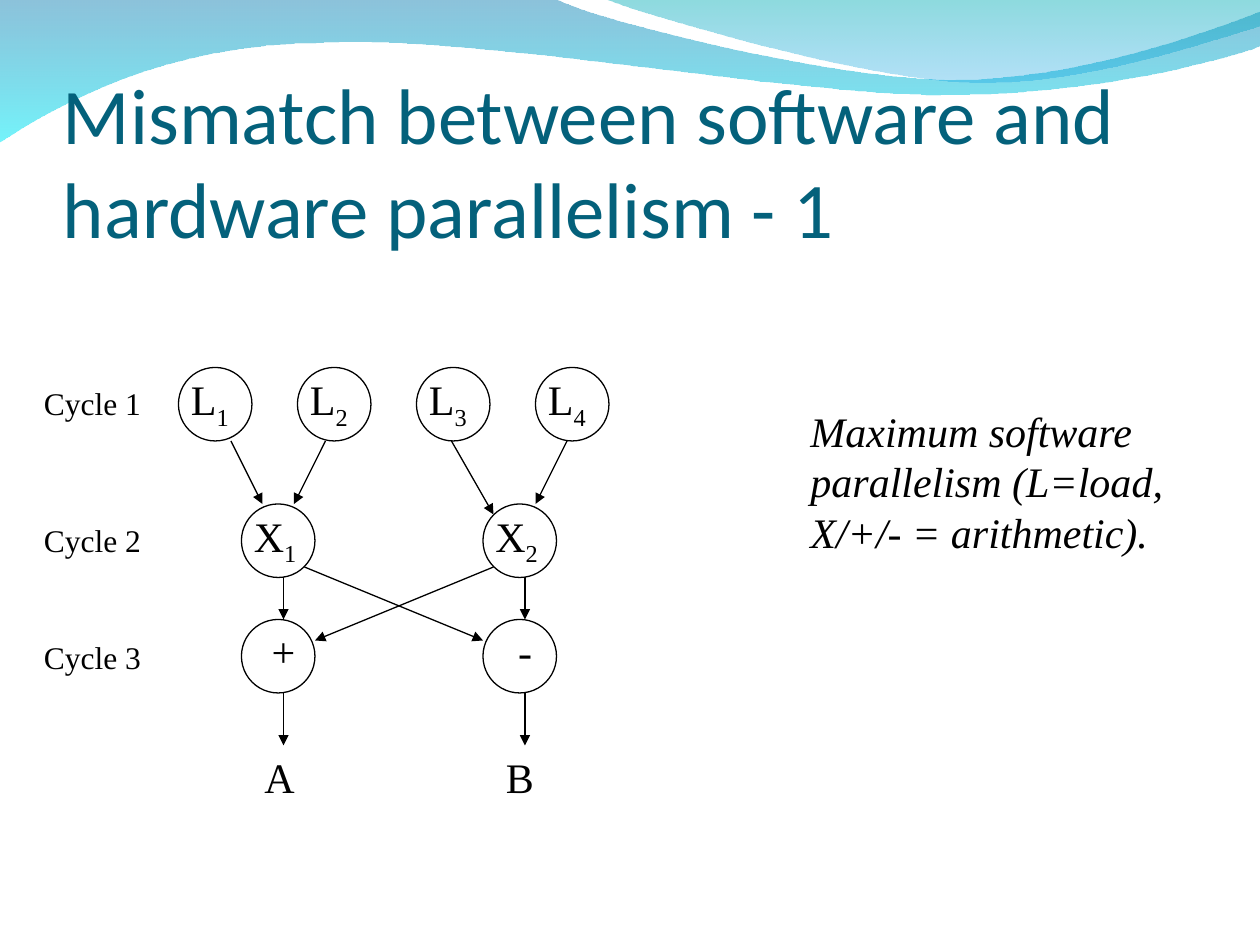
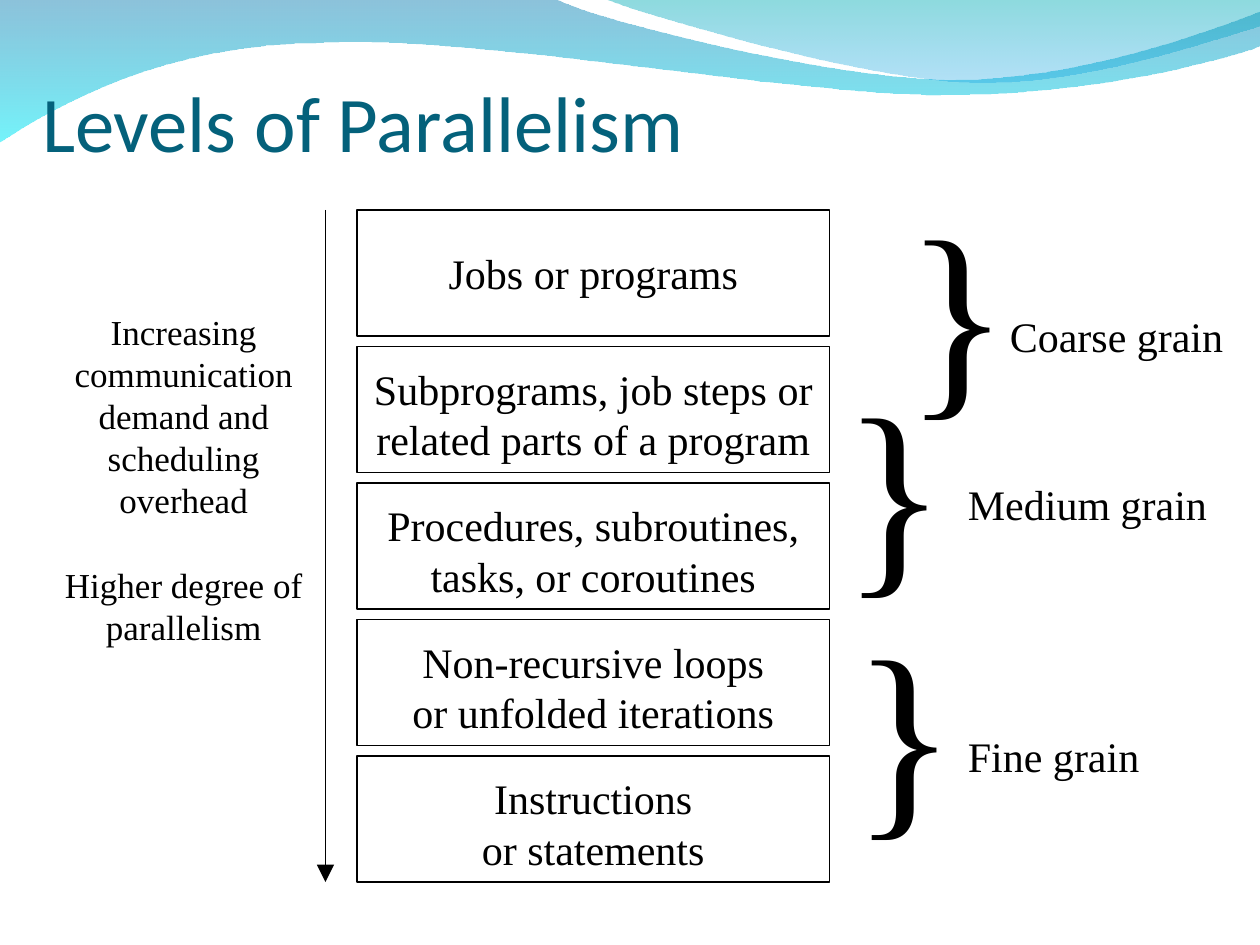
import pptx
import pptx.util
import pptx.dml.color
import pptx.enum.shapes
import pptx.enum.text
import lxml.etree

rgb = pptx.dml.color.RGBColor.from_string
PRESET = pptx.enum.shapes.MSO_SHAPE
ALIGN = pptx.enum.text.PP_ALIGN
ANCHOR = pptx.enum.text.MSO_ANCHOR
A = "{http://schemas.openxmlformats.org/drawingml/2006/main}"
INK, TITLE = "000000", "04617B"

prs = pptx.Presentation()
prs.slide_width = pptx.util.Inches(10)
prs.slide_height = pptx.util.Inches(7.5)
U = prs.slide_width // 120  # grid of 120 columns by 90 rows


def put(s, x, y, w, h, text="", kind=None, sub="", size=24, font="Times New Roman",
        colour=INK, align=ALIGN.LEFT, anchor=ANCHOR.TOP, italic=False, wrap=True,
        margins=(0.1, 0.05, 0.1, 0.05), gap=0):
    """Add a text box, or an outlined preset shape if kind is given, in grid units."""
    box = [int(v * U) for v in (x, y, w, h)]
    if kind is not None:
        sp = s.shapes.add_shape(kind, *box)
        sp.shadow.inherit = False
        sp.fill.background()
        sp.line.color.rgb = rgb(INK)
        sp.line.width = pptx.util.Pt(0.75)
        return
    tf = s.shapes.add_textbox(*box).text_frame
    tf.word_wrap, tf.vertical_anchor = wrap, anchor
    for side, inches in zip(("left", "top", "right", "bottom"), margins):
        setattr(tf, "margin_" + side, pptx.util.Inches(inches))
    tf.text = text
    for i, p in enumerate(tf.paragraphs):
        p.alignment = align
        if i:
            p.space_before = pptx.util.Pt(gap)
        if sub:
            r = p.add_run()
            r.text = sub
            r._r.get_or_add_rPr().set("baseline", "-25000")
        for r in p.runs:
            style = {"size": pptx.util.Pt(size), "name": font, "italic": italic}
            for name, value in style.items():
                setattr(r.font, name, value)
            r.font.color.rgb = rgb(colour)


def arrow(s, x1, y1, x2, y2, head="med"):
    c = s.shapes.add_connector(pptx.enum.shapes.MSO_CONNECTOR.STRAIGHT,
                               x1 * U, y1 * U, x2 * U, y2 * U)
    c.line.color.rgb = rgb(INK)
    c.line.width = pptx.util.Pt(0.75)
    lxml.etree.SubElement(c.line._get_or_add_ln(), A + "tailEnd",
                          type="triangle", w=head, len=head)
    lxml.etree.SubElement(c._element.spPr, A + "effectLst")


# Header waves: (corner points and Bézier triples in inches, gradient stops)
waves = [
    ([[(0, -0.01)], [(4.4, -0.01)],
      [(4.76, 0.17), (6.64, 0.63), (7.58, 0.63)],
      [(8.53, 0.63), (9.58, 0.26), (10, 0.09)], [(10.01, 0.36)],
      [(9.83, 0.44), (8.7, 0.76), (7.46, 0.75)],
      [(6.22, 0.75), (3.82, 0.28), (2.57, 0.34)],
      [(1.29, 0.35), (0.46, 0.83), (-0.01, 1.13)]],
     [("0079AF", 45), ("00EBF8", 55)]),
    ([[(4.79, -0.01)],
      [(5.09, 0.11), (6.82, 0.62), (7.69, 0.65)],
      [(8.56, 0.69), (9.61, 0.32), (10, 0.21)], [(10, 0)]],
     [("00ADB6", 45), ("009BE5", 30)]),
]
titles = [
    ("Mismatch between software and hardware parallelism - 1", (6, 9.25, 108, 15)),
    ("Levels of Parallelism", (4, 6, 105, 10)),
]
slides = []
for title, place in titles:
    s = prs.slides.add_slide(prs.slide_layouts[6])
    slides.append(s)
    for segments, stops in waves:
        points = [(x * 1000, y * 1000) for seg in segments for x, y in seg]
        fb = s.shapes.build_freeform(*points[0], scale=pptx.util.Inches(1) / 1000)
        fb.add_line_segments(points[1:], close=True)
        sp = fb.convert_to_shape()
        # Join the three line steps of each Bézier triple into one curve
        steps = sp._element.spPr.iter(A + "lnTo")
        steps = iter(list(steps))
        for seg in segments[1:]:
            first, *others = [next(steps) for point in seg]
            if others:
                curve = lxml.etree.Element(A + "cubicBezTo")
                first.addprevious(curve)
                for step in (first, *others):
                    curve.append(step[0])
                    step.getparent().remove(step)
        sp.shadow.inherit = False
        sp.line.fill.background()
        sp.fill.gradient()
        sp.fill.gradient_angle = 270
        for stop, (colour, opacity) in zip(sp.fill.gradient_stops, stops):
            stop.color.rgb = rgb(colour)
        for node, (colour, opacity) in zip(sp._element.spPr.iter(A + "srgbClr"), stops):
            lxml.etree.SubElement(node, A + "alpha", val=str(opacity * 1000))
    put(s, *place, title, size=45, font="Calibri", colour=TITLE,
        anchor=ANCHOR.BOTTOM, margins=(0, 0.05, 0, 0))

# Slide 1: dataflow graph
graph, levels = slides
cycle_rows = (35, 48, 59)
branch_columns = (23, 46)
nodes = [(17 + 34 / 3 * i, cycle_rows[0], "L", str(i + 1)) for i in range(4)]
nodes += [(x, cycle_rows[1], "X", str(i + 1)) for i, x in enumerate(branch_columns)]
nodes += [(x, cycle_rows[2], sign, "") for x, sign in zip(branch_columns, "+-")]
for x, y, name, sub in nodes:
    put(graph, x, y, 7, 7, kind=PRESET.OVAL)
    put(graph, x, y, 8, 6.5, name, sub=sub, align=ALIGN.LEFT if sub else ALIGN.CENTER)

for ends in [(22, 42, 25, 48), (31, 42, 28, 48), (43, 42, 47, 49), (54, 42, 51, 48),
             (29, 54, 46, 61), (47, 54, 30, 61)]:
    arrow(graph, *ends)
for x, result in zip(branch_columns, "AB"):
    arrow(graph, x + 4, 55, x + 4, 59)
    arrow(graph, x + 4, 66, x + 4, 71)
    put(graph, x + 1, 71, 6, 6, result)

for i, y in enumerate((36, 49, 60.2), 1):
    put(graph, 3, y, 12, 4.75, f"Cycle {i}", size=18)
put(graph, 76, 38, 38, 15.5,
    "Maximum software parallelism (L=load, X/+/- = arithmetic).", italic=True)

# Slide 2: stack of levels, with the grain sizes beside it
level_names = ["Jobs or programs",
               "Subprograms, job steps or\vrelated parts of a program",
               "Procedures, subroutines,\vtasks, or coroutines",
               "Non-recursive loops\vor unfolded iterations",
               "Instructions\vor statements"]
for i, name in enumerate(level_names):
    y = 20 + 13 * i
    inset, height = (1, 10.75) if "\v" in name else (3, 6)
    put(levels, 34, y + inset, 45, height, name, align=ALIGN.CENTER)
    put(levels, 34, y, 45, 12, kind=PRESET.RECTANGLE)

grains = [("Coarse grain", 95, 29, 24, 85.1, 16),
          ("Medium grain", 91, 45, 27, 79.1, 33),
          ("Fine grain", 91, 69, 27, 80, 56)]
for name, x, y, width, brace_x, brace_y in grains:
    put(levels, brace_x, brace_y, 12.25, 26, "}", size=124, wrap=False)
    put(levels, x, y, width, 6, name)

arrow(levels, 31, 20, 31, 84, head="lg")
put(levels, 5, 29, 25, 33.25,
    "Increasing communication demand and scheduling overhead\nHigher degree of parallelism",
    size=20, align=ALIGN.CENTER, gap=24.5)

prs.save("out.pptx")
